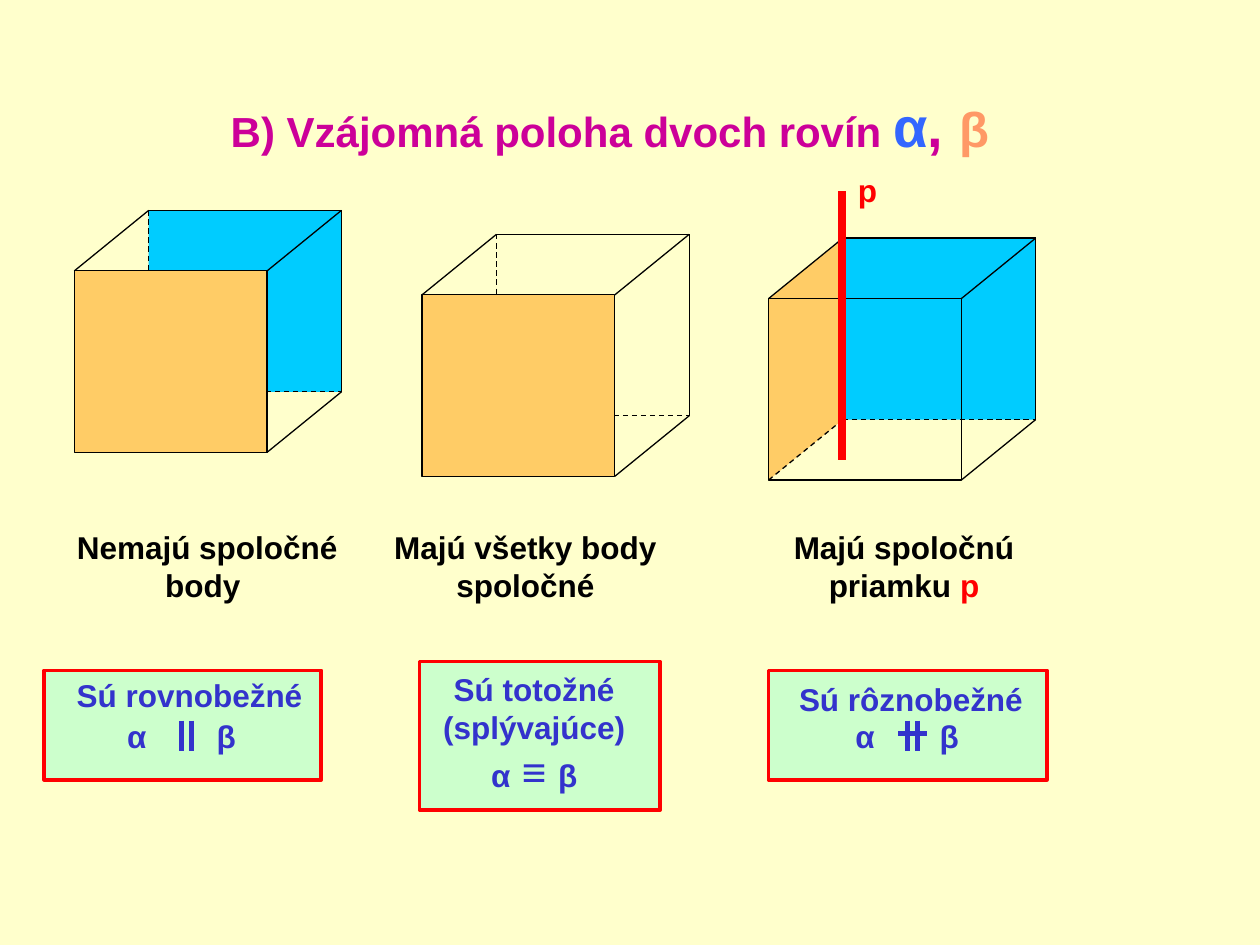
from dataclasses import dataclass

from lxml.etree import SubElement
from pptx import Presentation
from pptx.dml.color import RGBColor as Rgb
from pptx.enum.dml import MSO_LINE_DASH_STYLE as Dash
from pptx.enum.shapes import MSO_CONNECTOR as Connector, MSO_SHAPE as Preset
from pptx.enum.text import MSO_ANCHOR as Anchor, PP_ALIGN as Align
from pptx.oxml.ns import qn
from pptx.util import Inches, Pt


@dataclass(frozen=True)
class Theme:
    """Colours, type sizes and line widths of the slide."""
    font: str = "Arial"
    paper: str = "FFFFCC"
    ink: str = "000000"
    heading: str = "CC0099"
    alpha_title: str = "3366FF"
    beta_title: str = "FF9966"
    alpha_plane: str = "00CCFF"
    beta_plane: str = "FFCC66"
    verdict_fill: str = "CCFFCC"
    verdict: str = "3333CC"
    accent: str = "FF0000"
    body_size: float = 18
    title_size: float = 24
    beta_size: float = 28
    alpha_size: float = 32
    edge: float = 0.75
    frame: float = 2
    sign: float = 3
    axis: float = 4.5


THEME = Theme()
FACE_W, FACE_H = 1.53, 1.44
DEPTH_X, DEPTH_Y = 0.59, 0.48


def assign(target, values):
    """Set each named attribute of the target."""
    for name, value in values.items():
        setattr(target, name, value)


def write(frame, lines, align=Align.CENTER):
    """Fill a text frame with lines of (text, size, colour) runs."""
    assign(frame, {
        "word_wrap": False, "vertical_anchor": Anchor.TOP,
        "margin_left": Inches(0.1), "margin_right": Inches(0.1),
        "margin_top": Inches(0.05), "margin_bottom": Inches(0.05),
    })
    for index, pieces in enumerate(lines):
        line = frame.add_paragraph() if index else frame.paragraphs[0]
        line.alignment = align
        for words, size, colour in pieces:
            run = line.add_run()
            run.text = words
            assign(run.font, {"name": THEME.font, "size": Pt(size), "bold": True})
            run.font.color.rgb = Rgb.from_string(colour)


def label(slide, box, lines, align=Align.CENTER):
    """Add a text box at the given box."""
    write(slide.shapes.add_textbox(*map(Inches, box)).text_frame, lines, align)


def stroke(shapes, start, end, colour=THEME.ink, width=THEME.edge, dash=None):
    """Draw a straight line without a shadow."""
    line = shapes.add_connector(Connector.STRAIGHT, *map(Inches, (*start, *end)))
    line.line.color.rgb = Rgb.from_string(colour)
    assign(line.line, {"width": Pt(width), "dash_style": dash})
    SubElement(line._element.spPr, qn("a:effectLst"))


def paint(shape, fill=None, colour=None, width=THEME.edge):
    """Give a shape its fill and outline, or leave either out."""
    shape.shadow.inherit = False
    for part, tint in ((shape.fill, fill), (shape.line.fill, colour)):
        if tint:
            part.solid()
            part.fore_color.rgb = Rgb.from_string(tint)
        else:
            part.background()
    if colour:
        shape.line.width = Pt(width)


def panel(shapes, box, **look):
    """Add a rectangle at the given box."""
    paint(shapes.add_shape(Preset.RECTANGLE, *map(Inches, box)), **look)


def cube(slide, left, top, front_fill=None):
    """Draw a cube with dashed hidden edges and an open or filled front."""
    shapes = slide.shapes.add_group_shape().shapes
    front = [(left + x, top + DEPTH_Y + y) for y in (0, FACE_H) for x in (0, FACE_W)]
    back = [(x + DEPTH_X, y - DEPTH_Y) for x, y in front]
    visible = [(front[0], back[0]), (front[1], back[1]), (front[3], back[3]),
               (back[0], back[1]), (back[1], back[3])]
    hidden = [(back[0], back[2]), (back[2], back[3])]
    if not front_fill:
        hidden.append((front[2], back[2]))
    for edges, dash in ((visible, None), (hidden, Dash.DASH)):
        for start, end in edges:
            stroke(shapes, start, end, dash=dash)
    panel(shapes, (*front[0], FACE_W, FACE_H), fill=front_fill, colour=THEME.ink)


def back_plane(slide, left, top):
    """Colour the back face of a cube."""
    panel(slide.shapes, (left + DEPTH_X, top, FACE_W, FACE_H), fill=THEME.alpha_plane)


def side_plane(slide, left, top):
    """Colour the left face of a cube."""
    corners = [(left + DEPTH_X, top), (left, top + DEPTH_Y),
               (left, top + DEPTH_Y + FACE_H), (left + DEPTH_X, top + FACE_H)]
    start, *rest = [tuple(map(Inches, corner)) for corner in corners]
    outline = slide.shapes.build_freeform(*start)
    outline.add_line_segments(rest, close=True)
    paint(outline.convert_to_shape(), fill=THEME.beta_plane)


def common_line(slide, left, top):
    """Draw the line p shared by both planes."""
    x = left + 0.58
    stroke(slide.shapes, (x, top - 0.37), (x, top + 1.76), THEME.accent, THEME.axis)
    label(slide, (x + 0.03, top - 0.58, 0.35, 0.4),
          [[("p", THEME.body_size, THEME.accent)]], Align.LEFT)


def caption(slide, box, lines):
    """Write the description below a cube."""
    label(slide, box, [[(words, THEME.body_size, colour) for words, colour in line]
                       for line in lines])


def verdict(slide, box, text_box, lines):
    """Draw the framed conclusion and its centred lines."""
    panel(slide.shapes, box, fill=THEME.verdict_fill, colour=THEME.accent,
          width=THEME.frame)
    label(slide, text_box, [[(words, size, THEME.verdict) for words, size in line]
                            for line in lines])


def relation(slide, alpha_left, beta_left, sign_left, crossed=False):
    """Write α and β around a parallel sign, struck through if crossed."""
    for letter, left in (("α", alpha_left), ("β", beta_left)):
        label(slide, (left, 5.64, 0.35, 0.4),
              [[(letter, THEME.body_size, THEME.verdict)]], Align.LEFT)
    bars = [((x, 5.72), (x, 5.96)) for x in (sign_left, sign_left + 0.08)]
    if crossed:
        bars.append(((sign_left - 0.07, 5.82), (sign_left + 0.16, 5.82)))
    for start, end in bars:
        stroke(slide.shapes, start, end, THEME.verdict, THEME.sign)


def heading(slide, box):
    """Place and format the title."""
    title = slide.shapes.title
    assign(title, dict(zip(("left", "top", "width", "height"), map(Inches, box))))
    write(title.text_frame, [[
        ("B) Vzájomná poloha dvoch rovín ", THEME.title_size, THEME.heading),
        ("α", THEME.alpha_size, THEME.alpha_title),
        (", ", THEME.alpha_size, THEME.heading),
        ("β", THEME.beta_size, THEME.beta_title)]])


def parallel_planes(slide, left, top):
    """Show planes with no common points."""
    back_plane(slide, left, top)
    cube(slide, left, top, THEME.beta_plane)
    caption(slide, (0.41, 4.14, 2.47, 0.7),
            [[("Nemajú spoločné", THEME.ink)], [("body ", THEME.ink)]])
    verdict(slide, (0.35, 5.32, 2.2, 0.87), (0.41, 5.32, 2.19, 0.4),
            [[("Sú rovnobežné", THEME.body_size)]])
    relation(slide, 0.91, 1.62, 1.44)


def identical_planes(slide, left, top):
    """Show planes with all points in common."""
    cube(slide, left, top, THEME.beta_plane)
    caption(slide, (2.93, 4.14, 2.48, 0.7),
            [[("Majú všetky body", THEME.ink)], [("spoločné", THEME.ink)]])
    verdict(slide, (3.33, 5.25, 1.91, 1.18), (3.32, 5.27, 1.84, 1.1),
            [[("Sú totožné", THEME.body_size)], [("(splývajúce)", THEME.body_size)],
             [("α", THEME.body_size), (" ≡ ", THEME.title_size), ("β", THEME.body_size)]])


def crossing_planes(slide, left, top):
    """Show planes that share the line p."""
    side_plane(slide, left, top)
    back_plane(slide, left, top)
    cube(slide, left, top)
    common_line(slide, left, top)
    caption(slide, (6.1, 4.14, 2.15, 0.7),
            [[("Majú spoločnú", THEME.ink)], [("priamku ", THEME.ink), ("p", THEME.accent)]])
    verdict(slide, (6.1, 5.32, 2.21, 0.87), (6.14, 5.35, 2.18, 0.4),
            [[("Sú rôznobežné", THEME.body_size)]])
    relation(slide, 6.69, 7.36, 7.2, crossed=True)


def main():
    """Build and save the slide."""
    deck = Presentation()
    assign(deck, {"slide_width": Inches(10), "slide_height": Inches(7.5)})
    slide = deck.slides.add_slide(deck.slide_layouts[5])
    slide.background.fill.solid()
    slide.background.fill.fore_color.rgb = Rgb.from_string(THEME.paper)
    heading(slide, (1.73, 0.68, 6.22, 1.1))
    parallel_planes(slide, 0.59, 1.67)
    identical_planes(slide, 3.35, 1.86)
    crossing_planes(slide, 6.1, 1.89)
    deck.save("out.pptx")


if __name__ == "__main__":
    main()
